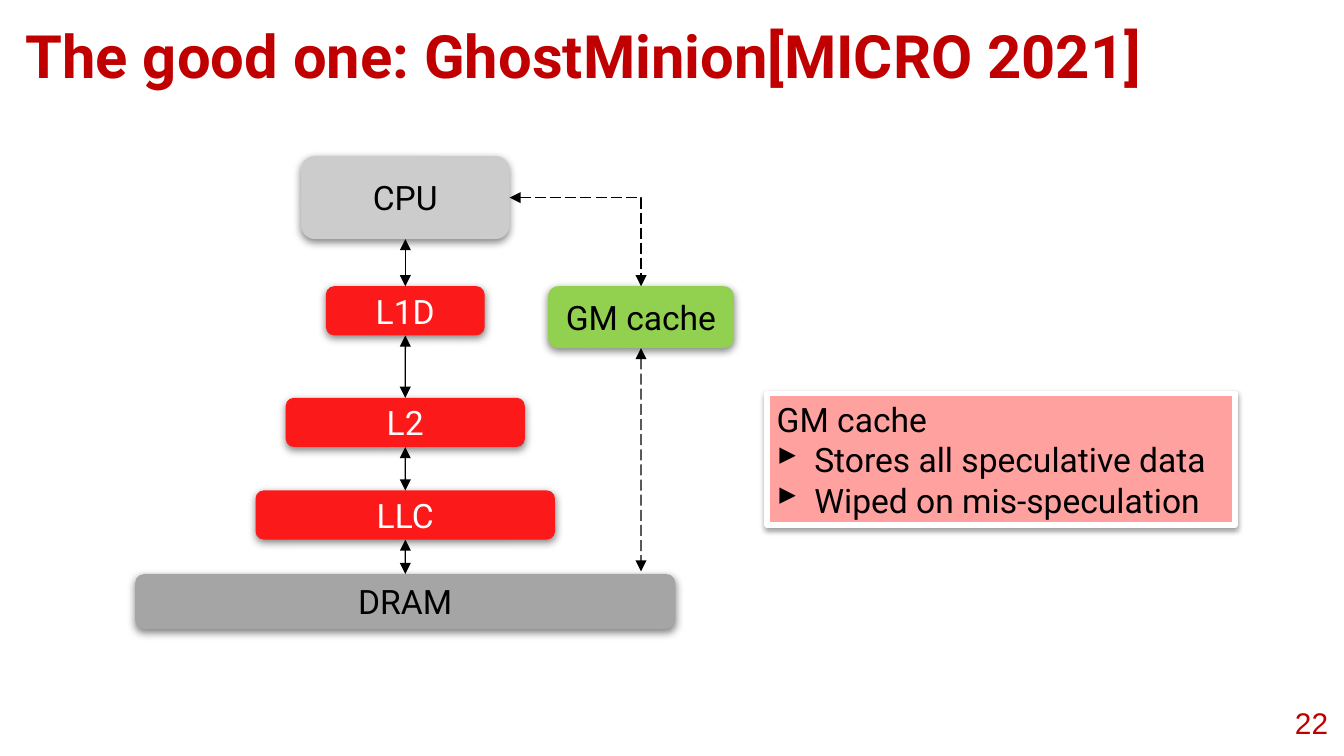
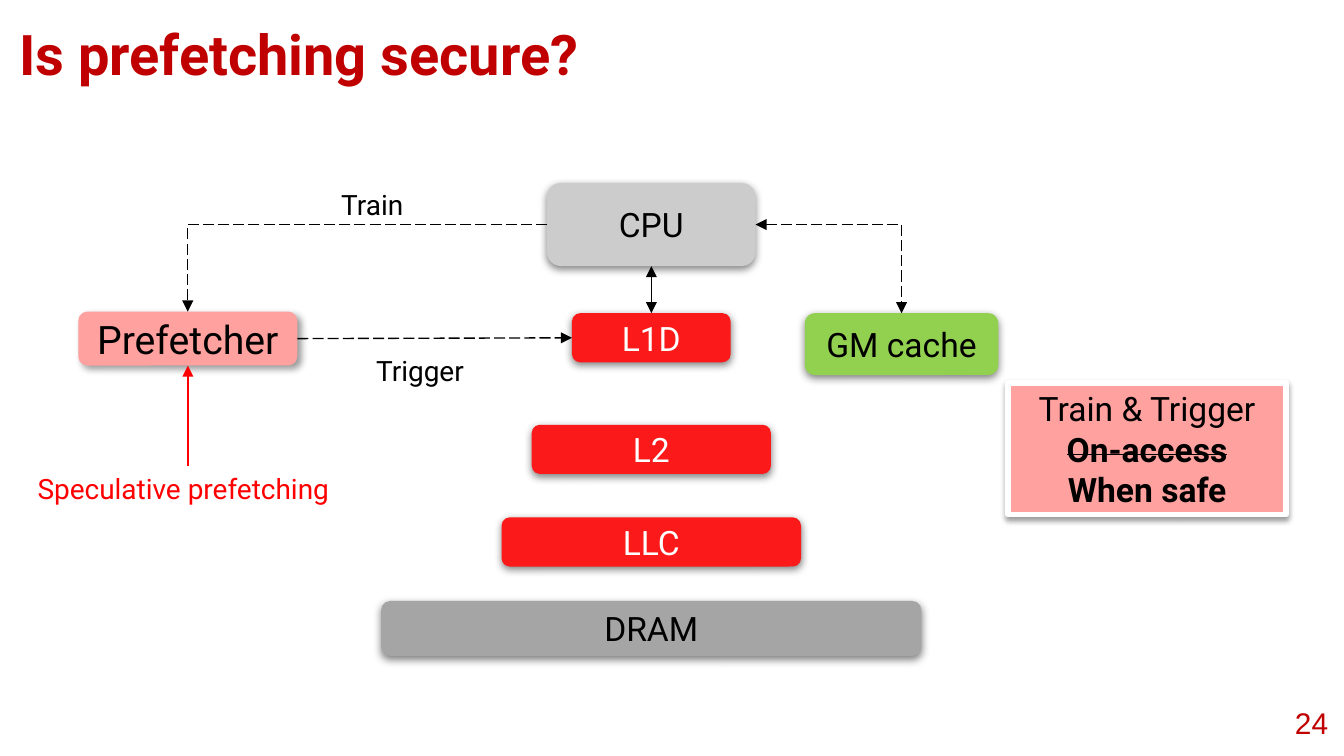
from lxml import etree
from pptx import Presentation
from pptx.dml.color import RGBColor
from pptx.enum import dml, shapes, text
from pptx.oxml.ns import qn
from pptx.util import Cm, Pt

CRIMSON = RGBColor(0xC0, 0x00, 0x00)
RED = RGBColor(0xFF, 0x00, 0x00)
CACHE_RED = RGBColor(0xFC, 0x19, 0x19)
PINK = RGBColor(0xFF, 0xA1, 0x9F)
GREEN = RGBColor(0x92, 0xD0, 0x50)
LIGHT_GREY = RGBColor(0xCC, 0xCC, 0xCC)
GREY = RGBColor(0xA5, 0xA5, 0xA5)
BLACK = RGBColor(0, 0, 0)
WHITE = RGBColor(0xFF, 0xFF, 0xFF)

LEFT, CENTER, RIGHT = text.PP_ALIGN.LEFT, text.PP_ALIGN.CENTER, text.PP_ALIGN.RIGHT
TOP, MIDDLE = text.MSO_ANCHOR.TOP, text.MSO_ANCHOR.MIDDLE
FIT = text.MSO_AUTO_SIZE.SHAPE_TO_FIT_TEXT
SIDE_TOP, SIDE_LEFT, SIDE_BOTTOM, SIDE_RIGHT = range(4)

# Shadows: opacity %, blur pt, distance pt, direction in degrees
BLOCK_SHADOW = (50, 4.5, 1.5, 90)
NOTE_SHADOW = (38, 3.1, 1.6, 90)
PREFETCHER_SHADOW = (40, 4, 3, 45)

# Memory hierarchy: name, top, width, height (cm), fill, text colour
HIERARCHY = [
    ("CPU", 2.95, 3.94, 1.57, LIGHT_GREY, BLACK),
    ("L1D", 5.41, 3.0, 0.93, CACHE_RED, WHITE),
    ("L2", 7.52, 4.52, 0.93, CACHE_RED, WHITE),
    ("LLC", 9.27, 5.66, 0.93, CACHE_RED, WHITE),
    ("DRAM", 10.85, 10.21, 1.04, GREY, BLACK),
]
GM_TOP, GM_HEIGHT = 5.41, 1.17

# Slide 1
GHOST_TITLE = "The good one: GhostMinion[MICRO 2021]"
GM_NOTE = [
    "GM cache",
    ("Stores all speculative data", {"bullet": "▸"}),
    ("Wiped on mis-speculation", {"bullet": "▸"}),
]

# Slide 2
PREFETCH_TITLE = "Is prefetching secure?"
LOWERED = 0.51
SAFETY_NOTE = [
    "Train & Trigger",
    ("On-access", {"bold": True, "strike": True}),
    ("When safe", {"bold": True}),
]
PREFETCH_LABELS = [
    ("Speculative prefetching", (0.53, 8.81, 6.05, 0.84), RED),
    ("Train", (6.27, 3.45, 1.63, 0.84), BLACK),
    ("Trigger", (6.93, 6.58, 2.08, 0.84), BLACK),
]


def write(part, lines, size=18, color=BLACK, font="Roboto", bold=False,
          align=LEFT, anchor=TOP, inset=0.1, autosize=text.MSO_AUTO_SIZE.NONE):
    """Fill a part with lines, each a string or (string, line format)."""
    frame = part.text_frame
    frame.word_wrap = True
    frame.auto_size = autosize
    frame.vertical_anchor = anchor
    frame.margin_left = frame.margin_right = Cm(0.18)
    frame.margin_top = frame.margin_bottom = Cm(inset)
    for i, line in enumerate(lines):
        words, style = (line, {}) if isinstance(line, str) else line
        paragraph = frame.paragraphs[0] if i == 0 else frame.add_paragraph()
        paragraph.alignment = align
        if "bullet" in style:
            props = paragraph._p.get_or_add_pPr()
            props.set("marL", str(Cm(0.71)))
            props.set("indent", str(-Cm(0.71)))
            etree.SubElement(props, qn("a:buChar"), char=style["bullet"])
        run = paragraph.add_run()
        run.text = words
        run.font.name = font
        run.font.size = Pt(size)
        run.font.bold = style.get("bold", bold)
        run.font.color.rgb = color
        if style.get("strike"):
            run._r.get_or_add_rPr().set("strike", "sngStrike")


def cast_shadow(part, opacity, blur, distance, direction):
    part.shadow.inherit = False
    effects = part._element.spPr.find(qn("a:effectLst"))
    outer = etree.SubElement(
        effects, qn("a:outerShdw"), blurRad=str(Pt(blur)), dist=str(Pt(distance)),
        dir=str(direction * 60000), algn="ctr", rotWithShape="0")
    tint = etree.SubElement(outer, qn("a:srgbClr"), val="000000")
    etree.SubElement(tint, qn("a:alpha"), val=str(opacity * 1000))


def add_panel(slide, kind, box, fill, shadow):
    panel = slide.shapes.add_shape(kind, *map(Cm, box))
    panel.fill.solid()
    panel.fill.fore_color.rgb = fill
    panel.line.fill.background()
    cast_shadow(panel, *shadow)
    return panel


def add_block(slide, name, box, fill, color=BLACK, size=18, shadow=BLOCK_SHADOW):
    block = add_panel(slide, shapes.MSO_SHAPE.ROUNDED_RECTANGLE, box, fill, shadow)
    write(block, [name], size=size, color=color, align=CENTER, anchor=MIDDLE)
    return block


def add_note(slide, lines, box, align=LEFT):
    note = add_panel(slide, shapes.MSO_SHAPE.RECTANGLE, box, PINK, NOTE_SHADOW)
    note.line.color.rgb = WHITE
    note.line.width = Pt(3)
    write(note, lines, align=align, autosize=FIT)


def add_label(slide, words, box, **style):
    label = slide.shapes.add_textbox(*map(Cm, box))
    write(label, [words], **style)


def add_arrow(slide, start, end, both=True, dashed=False, corner=False, color=BLACK):
    """Link two ends, each a (block, side) pair or an (x, y) point in cm."""
    kind = shapes.MSO_CONNECTOR.ELBOW if corner else shapes.MSO_CONNECTOR.STRAIGHT
    free = [(0, 0) if hasattr(e[0], "text_frame") else e for e in (start, end)]
    arrow = slide.shapes.add_connector(kind, *(Cm(v) for point in free for v in point))
    if hasattr(start[0], "text_frame"):
        arrow.begin_connect(*start)
    if hasattr(end[0], "text_frame"):
        arrow.end_connect(*end)
    props = arrow._element.spPr
    if corner:
        props.find(qn("a:prstGeom")).set("prst", "bentConnector2")
    arrow.line.color.rgb = color
    arrow.line.width = Pt(0.75)
    if dashed:
        arrow.line.dash_style = dml.MSO_LINE.LONG_DASH
    outline = arrow.line._get_or_add_ln()
    for tip in ("a:headEnd", "a:tailEnd") if both else ("a:tailEnd",):
        etree.SubElement(outline, qn(tip), type="triangle")
    etree.SubElement(props, qn("a:effectLst"))


def add_slide(deck, title, box, size, number):
    slide = deck.slides.add_slide(deck.slide_layouts[5])
    heading = slide.shapes.title
    heading.left, heading.top, heading.width, heading.height = map(Cm, box)
    write(heading, [title], size=size, color=CRIMSON, bold=True, inset=0.18)
    add_label(slide, number, (23.5, 13.11, 1.78, 1.09), size=16, color=CRIMSON,
              font="Arial", align=RIGHT, anchor=MIDDLE, inset=0.18)
    return slide


def add_hierarchy(slide, center, gm_left, gm_width, lowered=0):
    """Draw the memory levels and the GM cache; return them by name."""
    blocks = {
        name: add_block(slide, name, (center - width / 2, top + lowered, width, height),
                        fill, color)
        for name, top, width, height, fill, color in HIERARCHY
    }
    blocks["GM"] = add_block(slide, "GM cache",
                             (gm_left, GM_TOP + lowered, gm_width, GM_HEIGHT), GREEN)
    add_arrow(slide, (blocks["CPU"], SIDE_RIGHT), (blocks["GM"], SIDE_TOP),
              dashed=True, corner=True)
    return blocks


def link_levels(slide, blocks, names):
    for upper, lower in zip(names, names[1:]):
        add_arrow(slide, (blocks[upper], SIDE_BOTTOM), (blocks[lower], SIDE_TOP))


def build_ghostminion(deck):
    slide = add_slide(deck, GHOST_TITLE, (0.3, 0.18, 23.67, 1.6), 32, "22")
    gm_left, gm_width = 10.36, 3.51
    blocks = add_hierarchy(slide, 7.66, gm_left, gm_width)
    link_levels(slide, blocks, [level[0] for level in HIERARCHY])
    add_arrow(slide, (blocks["GM"], SIDE_BOTTOM), (gm_left + gm_width / 2, 10.8),
              dashed=True)
    add_note(slide, GM_NOTE, (14.5, 7.44, 8.84, 2.49))


def build_prefetching(deck):
    slide = add_slide(deck, PREFETCH_TITLE, (0.18, 0.18, 23.39, 1.75), 30, "24")
    blocks = add_hierarchy(slide, 12.31, 15.21, 3.66, LOWERED)
    link_levels(slide, blocks, ["CPU", "L1D"])
    left, width = 1.48, 4.14
    prefetcher = add_block(slide, "Prefetcher", (left, 5.89, width, 1.02), PINK,
                           size=21, shadow=PREFETCHER_SHADOW)
    add_arrow(slide, (blocks["CPU"], SIDE_LEFT), (prefetcher, SIDE_TOP),
              both=False, dashed=True, corner=True)
    add_arrow(slide, (prefetcher, SIDE_RIGHT), (blocks["L1D"], SIDE_LEFT),
              both=False, dashed=True)
    add_arrow(slide, (left + width / 2, 8.81), (prefetcher, SIDE_BOTTOM),
              both=False, color=RED)
    for words, box, color in PREFETCH_LABELS:
        add_label(slide, words, box, size=15, color=color, autosize=FIT)
    add_note(slide, SAFETY_NOTE, (19.05, 7.24, 5.26, 2.49), align=CENTER)


def main():
    deck = Presentation()
    deck.slide_width, deck.slide_height = Cm(25.4), Cm(14.29)
    build_ghostminion(deck)
    build_prefetching(deck)
    deck.save("out.pptx")


if __name__ == "__main__":
    main()
